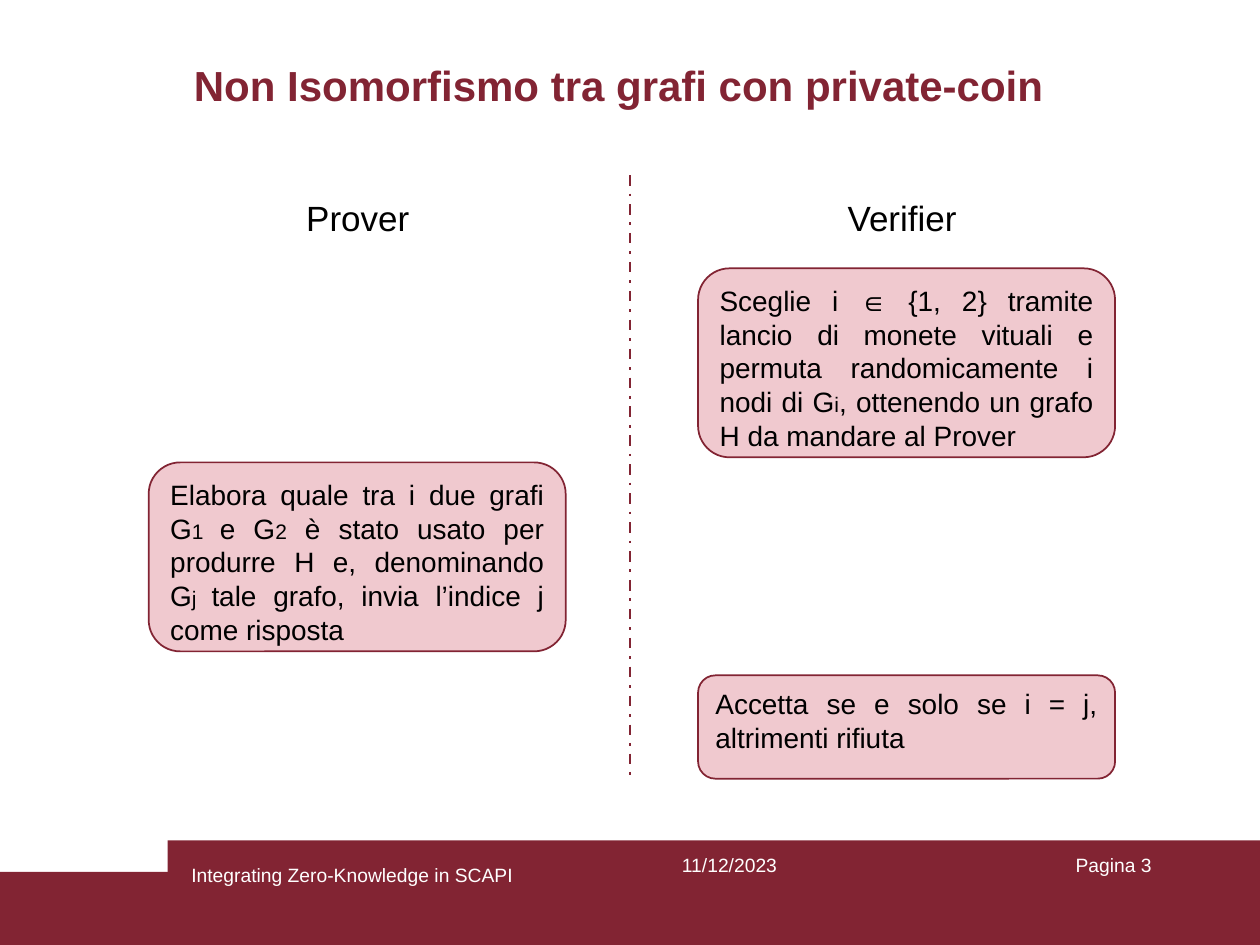
import dataclasses

import pptx
import pptx.dml.color
import pptx.enum.dml
import pptx.enum.shapes
import pptx.enum.text
import pptx.oxml
import pptx.oxml.ns
import pptx.util

Inches = pptx.util.Inches
Pt = pptx.util.Pt
RGB = pptx.dml.color.RGBColor.from_string
ALIGN = pptx.enum.text.PP_ALIGN
ANCHOR = pptx.enum.text.MSO_ANCHOR
SHAPE = pptx.enum.shapes.MSO_SHAPE


@dataclasses.dataclass(frozen=True)
class Theme:
    font: str = "Arial"
    accent: str = "822433"
    tint: str = "F0C9CF"
    ink: str = "000000"
    paper: str = "FFFFFF"
    title: int = 24
    heading: int = 20
    body: int = 16
    index: int = 12
    footer: int = 11


class SlideBuilder:
    def __init__(self, slide, theme):
        self.s = slide
        self.theme = theme

    def set_text(self, tf, runs, align, color, anchor=ANCHOR.TOP, bold=False):
        """Fill a frame with one paragraph of (text, size) runs."""
        frame = {"word_wrap": True, "vertical_anchor": anchor,
                 "auto_size": pptx.enum.text.MSO_AUTO_SIZE.NONE}
        for name, value in frame.items():
            setattr(tf, name, value)
        p = tf.paragraphs[0]
        p.alignment = align
        for text, size in runs:
            r = p.add_run()
            r.text = text
            style = {"name": self.theme.font, "size": Pt(size), "bold": bold}
            for name, value in style.items():
                setattr(r.font, name, value)
            r.font.color.rgb = RGB(color)

    def title(self, text, x, y, w, h):
        sp = self.s.shapes.title
        box = {"left": x, "top": y, "width": w, "height": h}
        for name, value in box.items():
            setattr(sp, name, Inches(value))
        sp.text_frame.margin_right = Inches(0.28)
        self.set_text(sp.text_frame, [(text, self.theme.title)], ALIGN.CENTER,
                      self.theme.accent, ANCHOR.MIDDLE, bold=True)

    def label(self, text, x, y, w, h, size, align, color):
        sp = self.s.shapes.add_textbox(*map(Inches, (x, y, w, h)))
        self.set_text(sp.text_frame, [(text, size)], align, color)

    def block(self, kind, x, y, w, h, fill, line=None):
        sp = self.s.shapes.add_shape(kind, *map(Inches, (x, y, w, h)))
        sp.shadow.inherit = False
        sp.fill.solid()
        sp.fill.fore_color.rgb = RGB(fill)
        if line:
            sp.line.color.rgb = RGB(line)
            sp.line.width = Pt(1)
        else:
            sp.line.fill.background()
        return sp

    def step(self, runs, x, y, h):
        """Add a rounded protocol step."""
        sp = self.block(SHAPE.ROUNDED_RECTANGLE, x, y, 3.31, h,
                        self.theme.tint, self.theme.accent)
        self.set_text(sp.text_frame, runs, ALIGN.JUSTIFY, self.theme.ink)

    def divider(self, x, top, bottom):
        sp = self.s.shapes.add_connector(
            pptx.enum.shapes.MSO_CONNECTOR.STRAIGHT,
            *map(Inches, (x, top, x, bottom)))
        sp.line.color.rgb = RGB(self.theme.accent)
        sp.line.width = Pt(1.5)
        sp.line.dash_style = pptx.enum.dml.MSO_LINE.DASH_DOT
        sp._element.spPr.append(pptx.oxml.parse_xml(
            "<a:effectLst %s/>" % pptx.oxml.ns.nsdecls("a")))


def main():
    prs = pptx.Presentation()
    prs.slide_width, prs.slide_height = Inches(10), Inches(7.5)
    theme = Theme()
    s = SlideBuilder(prs.slides.add_slide(prs.slide_layouts[5]), theme)

    for x, y in ((0, 6.92), (1.33, 6.67)):
        s.block(SHAPE.RECTANGLE, x, y, 10 - x, 7.5 - y, theme.accent)
    for text, x, y, w, align in (
        ("Integrating Zero-Knowledge in SCAPI", 1.42, 6.8, 3.17, ALIGN.LEFT),
        ("11/12/2023", 4.75, 6.72, 2.08, ALIGN.CENTER),
        ("Pagina 3", 7.16, 6.72, 2.08, ALIGN.RIGHT),
    ):
        s.label(text, x, y, w, 0.5, theme.footer, align, theme.paper)

    s.title("Non Isomorfismo tra grafi con private-coin", 0, 0.4, 10, 0.55)
    for text, x in (("Prover", 2.17), ("Verifier", 6.49)):
        s.label(text, x, 1.51, 1.34, 0.44, theme.heading, ALIGN.CENTER,
                theme.ink)

    prover, verifier = 1.18, 5.54
    body, index = theme.body, theme.index
    s.step([
        ("Sceglie i ∈ {1, 2} tramite lancio di monete vituali e permuta "
         "randomicamente i nodi di G", body),
        ("i", index),
        (", ottenendo un grafo H da mandare al Prover", body),
    ], verifier, 2.13, 1.5)
    s.step([
        ("Elabora quale tra i due grafi G", body),
        ("1 ", index),
        ("e G", body),
        ("2", index),
        (" è stato usato per produrre H e, denominando G", body),
        ("j ", index),
        ("tale grafo, invia l’indice j come risposta", body),
    ], prover, 3.67, 1.5)
    s.step([("Accetta se e solo se i = j, altrimenti rifiuta", body)],
           verifier, 5.36, 0.82)
    s.divider(5, 1.39, 6.18)

    prs.save("out.pptx")


if __name__ == "__main__":
    main()
